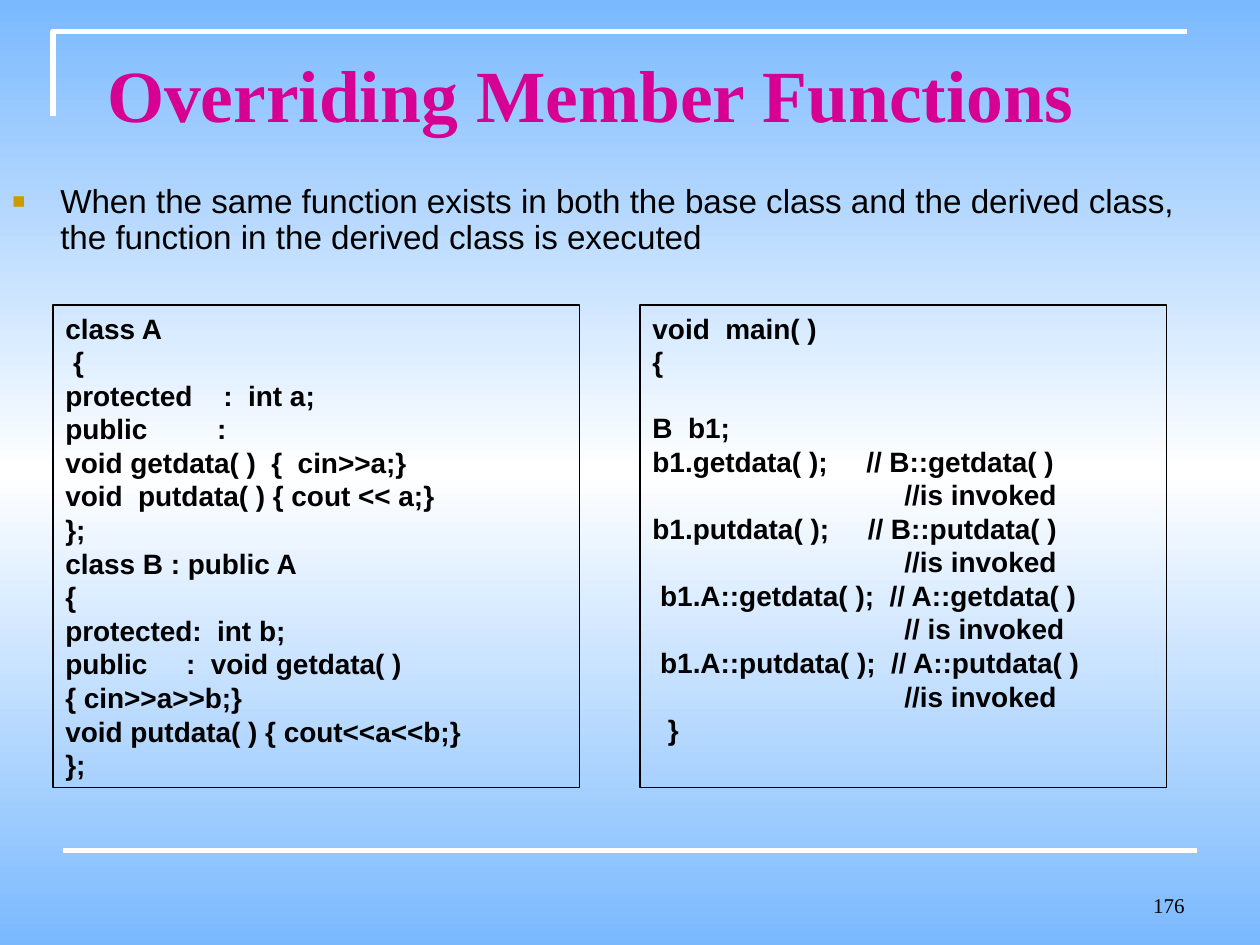
import copy

import pptx
import pptx.dml.color
import pptx.enum.shapes
import pptx.enum.text
import pptx.oxml.ns
import pptx.util
from lxml import etree

Inches, Pt = pptx.util.Inches, pptx.util.Pt
RGBColor = pptx.dml.color.RGBColor
MSO_ANCHOR = pptx.enum.text.MSO_ANCHOR
PP_ALIGN = pptx.enum.text.PP_ALIGN
qn = pptx.oxml.ns.qn

SKY = RGBColor(0x7A, 0xB9, 0xFE)
WHITE = RGBColor(0xFF, 0xFF, 0xFF)
BLACK = RGBColor(0, 0, 0)
MAGENTA = RGBColor(0xD6, 0x00, 0x93)
GOLD = "CC9900"

CODE_SIZE = 16
CODE_TOP, CODE_WIDTH, CODE_HEIGHT = 2.42, 4.18, 3.83
CODE_LEFTS = (0.42, 5.08)
COMMENT_INDENT = 2

CLASS_CODE = """class A
 {
protected    :  int a;
public         :
void getdata( )  {  cin>>a;}
void  putdata( ) { cout << a;}
};
class B : public A
{
protected:  int b;
public     :  void getdata( )
{ cin>>a>>b;}
void putdata( ) { cout<<a<<b;}
};"""

MAIN_CODE = """void  main( )
{

B  b1;
b1.getdata( );     // B::getdata( )
//is invoked
b1.putdata( );     // B::putdata( )
//is invoked
 b1.A::getdata( );  // A::getdata( )
// is invoked
 b1.A::putdata( );  // A::putdata( )
//is invoked
  }"""


def add_run(p, text, size, font="Arial", color=BLACK, bold=False):
    r = p.add_run()
    r.text = text
    r.font.size, r.font.name, r.font.bold = Pt(size), font, bold
    r.font.color.rgb = color


def set_background(s):
    fill = s.background.fill
    fill.gradient()
    fill.gradient_angle = 90
    for stop in fill.gradient_stops:
        stop.color.rgb = SKY
    # White band halfway between the two blue ends
    stops = next(s.element.iter(qn("a:gsLst")))
    middle = copy.deepcopy(stops[0])
    middle.set("pos", "50000")
    middle[0].set("val", str(WHITE))
    stops.insert(1, middle)


def add_frame_lines(s):
    # Corner bracket around the title
    builder = s.shapes.build_freeform(Inches(0.42), Inches(0.92))
    builder.add_line_segments(
        [(Inches(0.42), Inches(0.25)), (Inches(9.42), Inches(0.25))], close=False)
    bracket = builder.convert_to_shape()
    bracket.fill.background()
    bracket.shadow.inherit = False
    # Footer rule
    rule = s.shapes.add_connector(
        pptx.enum.shapes.MSO_CONNECTOR.STRAIGHT,
        Inches(0.5), Inches(6.75), Inches(9.5), Inches(6.75))
    etree.SubElement(rule.element.spPr, qn("a:effectLst"))
    for sp in (bracket, rule):
        sp.line.color.rgb = WHITE
        sp.line.width = Pt(3)


def set_title(s, text):
    sp = s.shapes.title
    sp.left, sp.top, sp.width, sp.height = map(Inches, (0.75, 0.3, 8.75, 0.87))
    tf = sp.text_frame
    tf.auto_size = pptx.enum.text.MSO_AUTO_SIZE.NONE
    tf.vertical_anchor = MSO_ANCHOR.MIDDLE
    p = tf.paragraphs[0]
    p.alignment = PP_ALIGN.LEFT
    add_run(p, text, 42, "Times New Roman", MAGENTA, True)


def add_text(s, left, top, width, height):
    tf = s.shapes.add_textbox(*map(Inches, (left, top, width, height))).text_frame
    tf.word_wrap = True
    return tf


def add_bullet(p):
    pPr = p._p.get_or_add_pPr()
    pPr.set("marL", str(Inches(0.38)))
    pPr.set("indent", str(-Inches(0.38)))
    color = etree.SubElement(pPr, qn("a:buClr"))
    etree.SubElement(color, qn("a:srgbClr"), val=GOLD)
    etree.SubElement(pPr, qn("a:buSzPct"), val="65000")
    etree.SubElement(pPr, qn("a:buFont"), typeface="Arial")
    etree.SubElement(pPr, qn("a:buChar"), char="■")


def add_code_box(s, left, code):
    sp = s.shapes.add_shape(
        pptx.enum.shapes.MSO_SHAPE.RECTANGLE,
        *map(Inches, (left, CODE_TOP, CODE_WIDTH, CODE_HEIGHT)))
    sp.fill.background()
    sp.line.color.rgb = BLACK
    sp.line.width = Pt(0.75)
    sp.shadow.inherit = False
    tf = sp.text_frame
    tf.word_wrap = True
    tf.vertical_anchor = MSO_ANCHOR.TOP
    p, gap = tf.paragraphs[0], 0
    for i, line in enumerate(code.split("\n")):
        if not line:  # an empty code line becomes space above the next one
            gap = CODE_SIZE * 1.15
            continue
        if i:
            p = tf.add_paragraph()
        p.alignment = PP_ALIGN.LEFT
        p.space_before, gap = Pt(gap), 0
        if line.startswith("//"):
            p._p.get_or_add_pPr().set("marL", str(Inches(COMMENT_INDENT)))
        add_run(p, line, CODE_SIZE, bold=True)


def main():
    prs = pptx.Presentation()
    prs.slide_width, prs.slide_height = Inches(10), Inches(7.5)
    s = prs.slides.add_slide(prs.slide_layouts[5])
    set_background(s)
    add_frame_lines(s)
    set_title(s, "Overriding Member Functions")

    # Slide number
    tf = add_text(s, 7.17, 6.83, 2.33, 0.5)
    tf.vertical_anchor = MSO_ANCHOR.BOTTOM
    p = tf.paragraphs[0]
    p.alignment = PP_ALIGN.RIGHT
    add_run(p, "176", 12, "Times New Roman")

    # Statement
    p = add_text(s, 0, 1.42, 9.58, 0.73).paragraphs[0]
    p.line_spacing, p.space_before = 0.9, Pt(4.8)
    add_bullet(p)
    add_run(p, "When the same function exists in both the base class and the "
               "derived class, the function in the derived class is executed", 19)

    # Code side by side
    for left, code in zip(CODE_LEFTS, (CLASS_CODE, MAIN_CODE)):
        add_code_box(s, left, code)

    prs.save("out.pptx")


if __name__ == "__main__":
    main()
